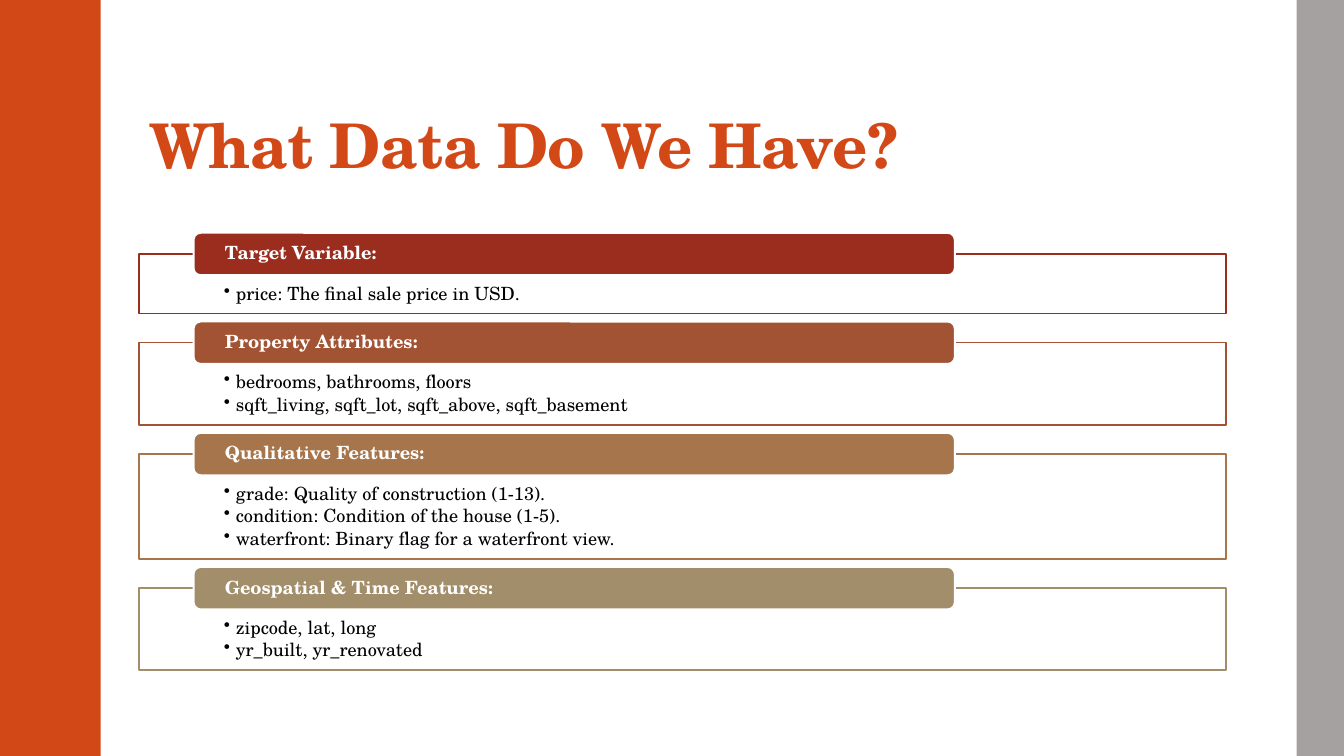
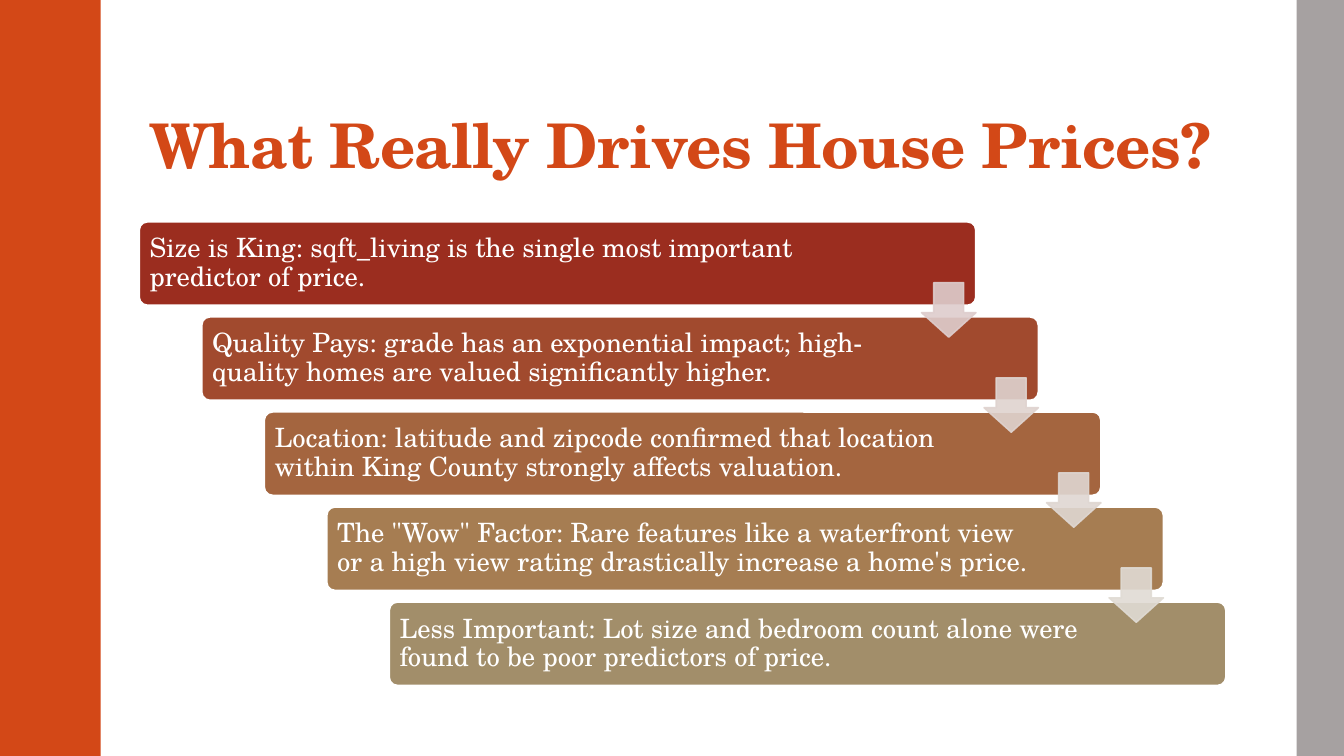
from dataclasses import dataclass

from pptx import Presentation
from pptx.dml.color import RGBColor
from pptx.enum.shapes import MSO_SHAPE
from pptx.enum.text import MSO_ANCHOR, PP_ALIGN
from pptx.oxml.ns import qn
from pptx.oxml.xmlchemy import OxmlElement
from pptx.shapes.autoshape import Shape
from pptx.slide import Slide
from pptx.util import Inches, Pt

RECTANGLE, ROUNDED, DOWN_ARROW = (
    MSO_SHAPE.RECTANGLE, MSO_SHAPE.ROUNDED_RECTANGLE, MSO_SHAPE.DOWN_ARROW)
TOP, MIDDLE, BOTTOM = MSO_ANCHOR.TOP, MSO_ANCHOR.MIDDLE, MSO_ANCHOR.BOTTOM
LEFT = PP_ALIGN.LEFT

# Square grid: ten cells to the inch
CELL = Inches(0.1)
SLIDE_COLS, SLIDE_ROWS = 133.3, 75


@dataclass(frozen=True)
class Theme:
    font: str = "TeX Gyre Schola"
    accent: str = "D34817"
    edge: str = "A6A1A1"
    paper: str = "FFFFFF"
    ink: str = "000000"
    title_size: float = 44
    step_size: float = 19
    list_size: float = 13
    thin_line: float = 1.1
    tile_line: float = 1.35


@dataclass(frozen=True)
class Box:
    """Place on the grid, in cells."""
    col: float
    row: float
    cols: float
    rows: float

    def emu(self) -> list[int]:
        return [round(n * CELL) for n in (self.col, self.row, self.cols, self.rows)]


@dataclass(frozen=True)
class FeatureGroup:
    heading: str
    features: tuple[str, ...]
    color: str


@dataclass(frozen=True)
class Driver:
    finding: str
    color: str
    arrow_color: str | None = None


THEME = Theme()
CONTENT_COL, CONTENT_COLS = 13.8, 107.8

FEATURE_GROUPS = (
    FeatureGroup("Target Variable:", ("price: The final sale price in USD.",), "9B2D1F"),
    FeatureGroup("Property Attributes:",
                 ("bedrooms, bathrooms, floors",
                  "sqft_living, sqft_lot, sqft_above, sqft_basement"), "A25333"),
    FeatureGroup("Qualitative Features:",
                 ("grade: Quality of construction (1-13).",
                  "condition: Condition of the house (1-5).",
                  "waterfront: Binary flag for a waterfront view."), "A6754B"),
    FeatureGroup("Geospatial & Time Features:",
                 ("zipcode, lat, long", "yr_built, yr_renovated"), "A28E6A"),
)

DRIVERS = (
    Driver("Size is King: sqft_living is the single most important predictor of price.",
           "9B2D1F", "DECDCD"),
    Driver("Quality Pays: grade has an exponential impact; high-quality homes are "
           "valued significantly higher.", "A14A2E", "DFD3CF"),
    Driver("Location: latitude and zipcode confirmed that location within King County "
           "strongly affects valuation.", "A4653F", "DFD7D2"),
    Driver("The \"Wow\" Factor: Rare features like a waterfront view or a high view "
           "rating drastically increase a home's price.", "A67D52", "E0DBD4"),
    Driver("Less Important: Lot size and bedroom count alone were found to be poor "
           "predictors of price.", "A28E6A"),
)


def draw(slide: Slide, kind: MSO_SHAPE, box: Box, fill: str, *, line: str | None = None,
         line_width: float = THEME.thin_line, adjust: tuple[float, ...] = (),
         opacity: int = 100) -> Shape:
    shape = slide.shapes.add_shape(kind, *box.emu())
    shape.shadow.inherit = False
    for index, value in enumerate(adjust):
        shape.adjustments[index] = value
    shape.fill.solid()
    shape.fill.fore_color.rgb = RGBColor.from_string(fill)
    if line:
        shape.line.color.rgb = RGBColor.from_string(line)
        shape.line.width = Pt(line_width)
    else:
        shape.line.fill.background()
    if opacity < 100:
        for color in shape.element.spPr.iter(qn("a:srgbClr")):
            alpha = OxmlElement("a:alpha")
            alpha.set("val", str(opacity * 1000))
            color.append(alpha)
    return shape


def write(shape: Shape, *lines: str, size: float, color: str, bold: bool = False,
          anchor: MSO_ANCHOR = MIDDLE, insets: tuple[float, ...] = (0, 0, 0, 0),
          bullet_indent: float = 0, space_after: float = 0, tracking: float = 0) -> None:
    """Insets (left, top, right, bottom) and bullet indent are in cells."""
    frame = shape.text_frame
    frame.word_wrap = True
    frame.vertical_anchor = anchor
    (frame.margin_left, frame.margin_top,
     frame.margin_right, frame.margin_bottom) = (round(n * CELL) for n in insets)
    for index, text in enumerate(lines):
        paragraph = frame.add_paragraph() if index else frame.paragraphs[0]
        if bullet_indent:
            properties = paragraph._p.get_or_add_pPr()
            properties.set("marL", str(round(bullet_indent * CELL)))
            properties.set("indent", str(-round(bullet_indent * CELL)))
            bullet = OxmlElement("a:buChar")
            bullet.set("char", "•")
            properties.append(bullet)
        paragraph.alignment = LEFT
        paragraph.line_spacing = 0.9
        paragraph.space_after = Pt(space_after)
        run = paragraph.add_run()
        run.text = text
        run.font.name = THEME.font
        run.font.size = Pt(size)
        run.font.bold = bold
        run.font.color.rgb = RGBColor.from_string(color)
        if tracking:
            run._r.get_or_add_rPr().set("spc", str(round(tracking * 100)))


def add_titled_slide(deck: Presentation, title: str) -> Slide:
    slide = deck.slides.add_slide(deck.slide_layouts[6])
    slide.background.fill.solid()
    slide.background.fill.fore_color.rgb = RGBColor.from_string(THEME.paper)
    # Side bands
    draw(slide, RECTANGLE, Box(0, 0, 10, SLIDE_ROWS), THEME.accent)
    draw(slide, RECTANGLE, Box(128.6, 0, SLIDE_COLS - 128.6, SLIDE_ROWS), THEME.edge)
    # Title
    heading = slide.shapes.add_textbox(*Box(CONTENT_COL, 3.2, CONTENT_COLS, 15.3).emu())
    write(heading, title, size=THEME.title_size, color=THEME.accent, bold=True,
          anchor=BOTTOM, insets=(1, 0.3, 1, 0.5), tracking=-0.5)
    return slide


def add_feature_panels(slide: Slide, groups: tuple[FeatureGroup, ...]) -> None:
    row, gap, tab_rise = 25.2, 2.9, 2.1
    for group in groups:
        rows = 3.65 + 2.25 * len(group.features)
        panel = draw(slide, RECTANGLE, Box(CONTENT_COL, row, CONTENT_COLS, rows),
                     THEME.paper, line=group.color)
        write(panel, *group.features, size=THEME.list_size, color=THEME.ink, anchor=TOP,
              insets=(8.4, 3, 8.4, 1), bullet_indent=1.2, space_after=2)
        tab = draw(slide, ROUNDED, Box(19.2, row - tab_rise, 75.5, 2 * tab_rise),
                   group.color, line=THEME.paper, line_width=THEME.tile_line)
        write(tab, group.heading, size=THEME.list_size, color=THEME.paper, bold=True,
              insets=(2.9, 0, 2.9, 0))
        row += rows + gap


def add_driver_staircase(slide: Slide, drivers: tuple[Driver, ...]) -> None:
    step_cols, step_rows, arrow_side = 83, 8.3, 5.4
    col_pitch = (CONTENT_COLS - step_cols) / (len(drivers) - 1)
    row_pitch = 9.43
    steps = [Box(CONTENT_COL + i * col_pitch, 22 + i * row_pitch, step_cols, step_rows)
             for i in range(len(drivers))]
    # Steps
    for driver, box in zip(drivers, steps):
        step = draw(slide, ROUNDED, box, driver.color, line=THEME.paper,
                    line_width=THEME.tile_line, adjust=(0.1,))
        write(step, driver.finding, size=THEME.step_size, color=THEME.paper,
              insets=(0.8, 0.8, 12.4, 0.8))
    # Arrows down to the next step
    for driver, box in zip(drivers, steps):
        if driver.arrow_color:
            arrow = Box(box.col + box.cols - arrow_side, box.row + 6.05,
                        arrow_side, arrow_side)
            draw(slide, DOWN_ARROW, arrow, driver.arrow_color, line=driver.arrow_color,
                 adjust=(0.45, 0.55)[::-1], opacity=90)


def main() -> None:
    deck = Presentation()
    deck.slide_width = round(SLIDE_COLS * CELL)
    deck.slide_height = SLIDE_ROWS * CELL
    add_feature_panels(add_titled_slide(deck, "What Data Do We Have?"), FEATURE_GROUPS)
    add_driver_staircase(add_titled_slide(deck, "What Really Drives House Prices?"), DRIVERS)
    deck.save("out.pptx")


if __name__ == "__main__":
    main()
